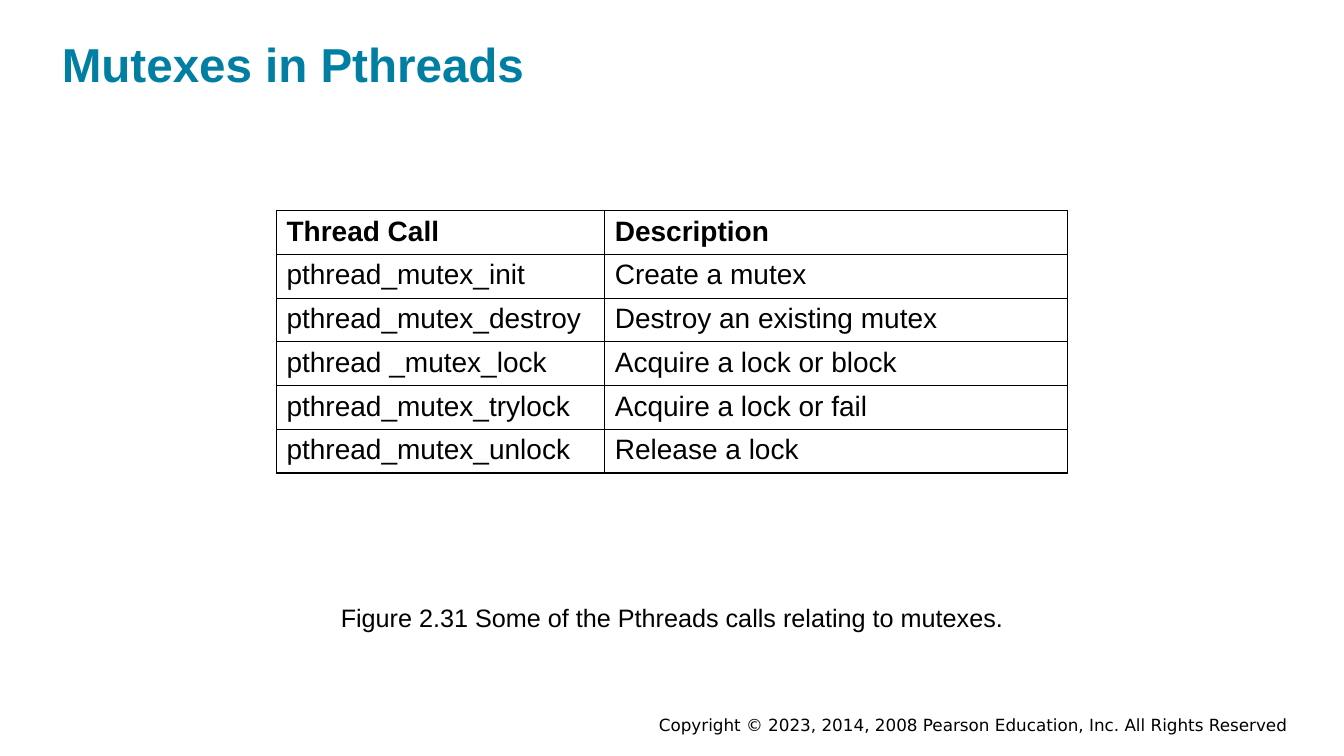
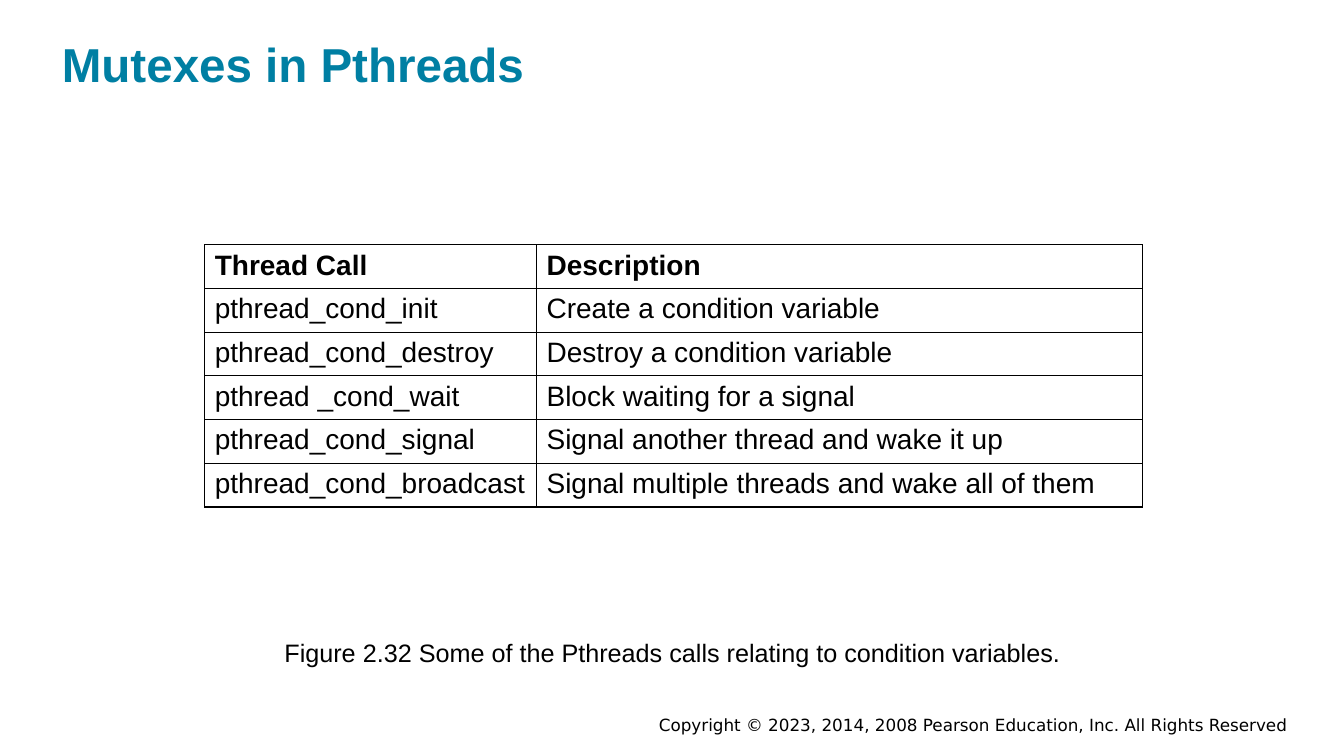
import pptx
import pptx.dml.color
import pptx.enum.text
import pptx.oxml
import pptx.oxml.ns
import pptx.util

Pt = pptx.util.Pt
RGBColor = pptx.dml.color.RGBColor
PP_ALIGN = pptx.enum.text.PP_ALIGN

TEAL = RGBColor(0x00, 0x7F, 0xA3)
BLACK = RGBColor(0x00, 0x00, 0x00)
BODY_FONT = "Arial"
FOOTER_FONT = "DejaVu Sans"
ROW_HEIGHT = 31.25

TITLE = "Mutexes in Pthreads"
COPYRIGHT = "Copyright © 2023, 2014, 2008 Pearson Education, Inc. All Rights Reserved"
HEADER = ("Thread Call", "Description")

SLIDES = [
    {
        "calls": [
            ("pthread_mutex_init", "Create a mutex"),
            ("pthread_mutex_destroy", "Destroy an existing mutex"),
            ("pthread _mutex_lock", "Acquire a lock or block"),
            ("pthread_mutex_trylock", "Acquire a lock or fail"),
            ("pthread_mutex_unlock", "Release a lock"),
        ],
        "table_at": (197.5, 150.5),
        "columns": (234.5, 330.5),
        "caption": "Figure 2.31 Some of the Pthreads calls relating to mutexes.",
        "caption_at": (243.4, 428.4, 480, 24.5),
    },
    {
        "calls": [
            ("pthread_cond_init", "Create a condition variable"),
            ("pthread_cond_destroy", "Destroy a condition variable"),
            ("pthread _cond_wait", "Block waiting for a signal"),
            ("pthread_cond_signal", "Signal another thread and wake it up"),
            ("pthread_cond_broadcast", "Signal multiple threads and wake all of them"),
        ],
        "table_at": (146.25, 174.75),
        "columns": (237, 432.75),
        "caption": "Figure 2.32 Some of the Pthreads calls relating to condition variables.",
        "caption_at": (203.2, 453.6, 560, 24.5),
    },
]


def style_text(paragraph, size, color=BLACK, bold=False, font=BODY_FONT):
    for run in paragraph.runs:
        run.font.name = font
        run.font.size = Pt(size)
        run.font.bold = bold
        run.font.color.rgb = color


def add_text(slide, text, box, size, align=PP_ALIGN.LEFT, **style):
    frame = slide.shapes.add_textbox(*map(Pt, box)).text_frame
    frame.word_wrap = True
    frame.vertical_anchor = pptx.enum.text.MSO_ANCHOR.MIDDLE
    frame.margin_left = frame.margin_right = 0
    frame.margin_top = frame.margin_bottom = Pt(1.44)
    frame.text = text
    frame.paragraphs[0].alignment = align
    style_text(frame.paragraphs[0], size, **style)


def add_borders(cell):
    properties = cell._tc.get_or_add_tcPr()
    for side in ("lnL", "lnR", "lnT", "lnB"):
        properties.append(pptx.oxml.parse_xml(
            f'<a:{side} {pptx.oxml.ns.nsdecls("a")} w="{Pt(1)}">'
            f'<a:solidFill><a:srgbClr val="{BLACK}"/></a:solidFill></a:{side}>'))


def add_call_table(slide, calls, position, columns):
    rows = [HEADER, *calls]
    size = (sum(columns), ROW_HEIGHT * len(rows))
    table = slide.shapes.add_table(
        len(rows), len(columns), *map(Pt, position + size)).table
    table.horz_banding = False
    table.first_row = False
    for column, width in zip(table.columns, columns):
        column.width = Pt(width)
    for row_index, row in enumerate(rows):
        table.rows[row_index].height = Pt(ROW_HEIGHT)
        for column_index, text in enumerate(row):
            cell = table.cell(row_index, column_index)
            cell.text_frame.text = text
            style_text(cell.text_frame.paragraphs[0], 20, bold=row_index == 0)
            add_borders(cell)
            cell.fill.background()


def main():
    deck = pptx.Presentation()
    deck.slide_width, deck.slide_height = Pt(960), Pt(540)
    for content in SLIDES:
        slide = deck.slides.add_slide(deck.slide_layouts[6])
        add_text(slide, COPYRIGHT, (401, 509, 519, 17.5), 12,
                 align=PP_ALIGN.RIGHT, font=FOOTER_FONT)
        add_text(slide, TITLE, (44.25, 23.25, 875.5, 44), 34, color=TEAL, bold=True)
        add_call_table(slide, content["calls"], content["table_at"], content["columns"])
        add_text(slide, content["caption"], content["caption_at"], 18)
    deck.save("out.pptx")


if __name__ == "__main__":
    main()
